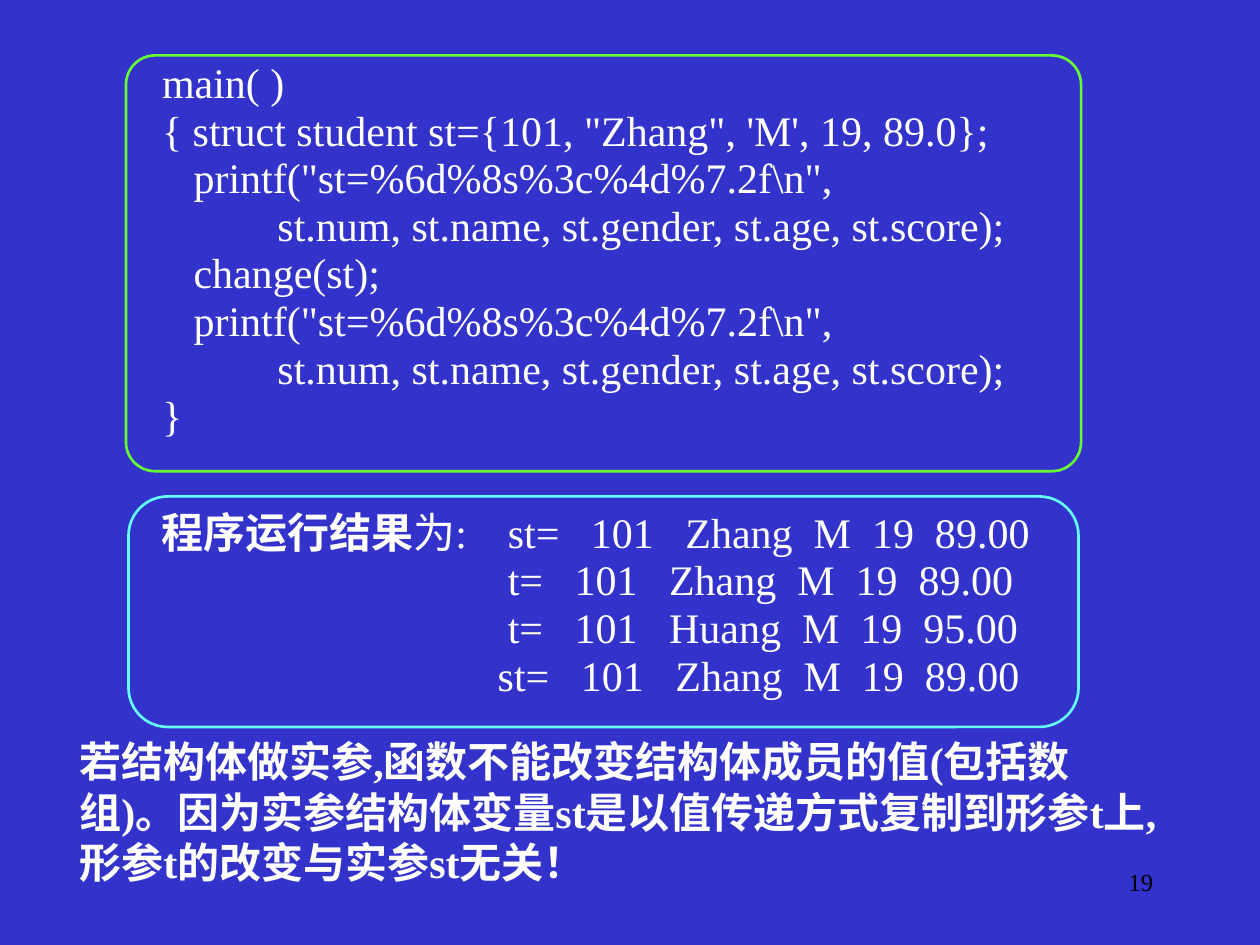
from dataclasses import dataclass

from lxml.etree import SubElement
from pptx import Presentation
from pptx.dml.color import RGBColor as Color
from pptx.enum.shapes import MSO_SHAPE as Preset
from pptx.enum.text import MSO_ANCHOR as Anchor, PP_ALIGN as Align
from pptx.oxml.ns import qn
from pptx.util import Inches, Pt


@dataclass(frozen=True)
class Theme:
    background: Color = Color.from_string("3333CC")
    text: Color = Color.from_string("FFFFFF")
    number: Color = Color.from_string("000000")
    code_frame: Color = Color.from_string("66FF33")
    result_frame: Color = Color.from_string("66FFFF")
    font: str = "Times New Roman"
    body_size: float = 24
    number_size: float = 14
    line_height: float = 20
    line_gap: float = 7.2
    frame_width: float = 1.5


@dataclass(frozen=True)
class Box:
    left: float
    top: float
    width: float
    height: float

    def lengths(self):
        return [Inches(value) for value in (self.left, self.top, self.width, self.height)]

    def inset(self, left, top, width, height):
        return Box(self.left + left, self.top + top, width, height)


THEME = Theme()

CODE = r"""  main( )
  { struct student st={101, "Zhang", 'M', 19, 89.0};
     printf("st=%6d%8s%3c%4d%7.2f\n",
             st.num, st.name, st.gender, st.age, st.score);
     change(st);
     printf("st=%6d%8s%3c%4d%7.2f\n",
             st.num, st.name, st.gender, st.age, st.score);
  }"""

RESULT_LABEL = "程序运行结果"
RESULTS = [
    ("为:\tst=   101   Zhang  M  19  89.00", 0),
    ("t=   101   Zhang  M  19  89.00", 2.75),
    ("t=   101   Huang  M  19  95.00", 2.75),
    ("st=   101   Zhang  M  19  89.00", 2.67),
]
CONCLUSION = (
    "若结构体做实参,函数不能改变结构体成员的值(包括数组)。"
    "因为实参结构体变量st是以值传递方式复制到形参t上,形参t的改变与实参st无关！"
)


def add_text(slide, box, text, margin=0.04):
    text_frame = slide.shapes.add_textbox(*box.lengths()).text_frame
    text_frame.word_wrap = True
    text_frame.vertical_anchor = Anchor.TOP
    text_frame.margin_left = text_frame.margin_right = Inches(margin)
    text_frame.margin_top = text_frame.margin_bottom = 0
    text_frame.text = text
    return text_frame


def format_runs(paragraph, size=THEME.body_size, color=THEME.text, bold=False):
    for run in paragraph.runs:
        run.font.name = THEME.font
        run.font.size = Pt(size)
        run.font.color.rgb = color
        run.font.bold = bold


def space_lines(text_frame):
    for index, paragraph in enumerate(text_frame.paragraphs):
        paragraph.line_spacing = Pt(THEME.line_height)
        if index:
            paragraph.space_before = Pt(THEME.line_gap)


def indent(paragraph, distance):
    paragraph._p.get_or_add_pPr().set("marL", str(Inches(distance)))


def add_tab_stop(paragraph, distance):
    tab_list = SubElement(paragraph._p.get_or_add_pPr(), qn("a:tabLst"))
    SubElement(tab_list, qn("a:tab"), pos=str(Inches(distance)), algn="l")


def add_frame(slide, box, color, corner):
    shape = slide.shapes.add_shape(Preset.ROUNDED_RECTANGLE, *box.lengths())
    shape.adjustments[0] = corner
    shape.shadow.inherit = False
    shape.fill.background()
    shape.line.color.rgb = color
    shape.line.width = Pt(THEME.frame_width)


def add_code(slide, box):
    text_frame = add_text(slide, box.inset(0.08, 0.13, box.width - 0.08, 3.1), CODE)
    space_lines(text_frame)
    for paragraph in text_frame.paragraphs:
        format_runs(paragraph)
    add_frame(slide, box, THEME.code_frame, 0.07)


def add_results(slide, box):
    lines = "\n".join(line for line, _ in RESULTS)
    text_frame = add_text(slide, box.inset(0.22, 0.2, box.width - 0.15, 1.49), lines)
    space_lines(text_frame)
    first = text_frame.paragraphs[0]
    add_tab_stop(first, 2.75)
    first.text = ""
    for part in (RESULT_LABEL, RESULTS[0][0]):
        first.add_run().text = part
    for paragraph, (_, distance) in zip(text_frame.paragraphs, RESULTS):
        indent(paragraph, distance)
        format_runs(paragraph)
    first.runs[0].font.bold = True
    add_frame(slide, box, THEME.result_frame, 0.17)


def add_conclusion(slide, box):
    text_frame = add_text(slide, box, CONCLUSION)
    format_runs(text_frame.paragraphs[0], bold=True)


def add_number(slide, box):
    text_frame = add_text(slide, box, "19", margin=0.1)
    text_frame.margin_top = Inches(0.05)
    paragraph = text_frame.paragraphs[0]
    paragraph.alignment = Align.RIGHT
    format_runs(paragraph, THEME.number_size, THEME.number)


def main():
    presentation = Presentation()
    presentation.slide_width = Inches(10)
    presentation.slide_height = Inches(7.5)
    slide = presentation.slides.add_slide(presentation.slide_layouts[6])
    slide.background.fill.solid()
    slide.background.fill.fore_color.rgb = THEME.background
    add_code(slide, Box(1, 0.44, 7.58, 3.3))
    add_results(slide, Box(1.02, 3.94, 7.54, 1.83))
    add_conclusion(slide, Box(0.59, 5.84, 8.65, 1.21))
    add_number(slide, Box(7.17, 6.83, 2.08, 0.5))
    presentation.save("out.pptx")


if __name__ == "__main__":
    main()
